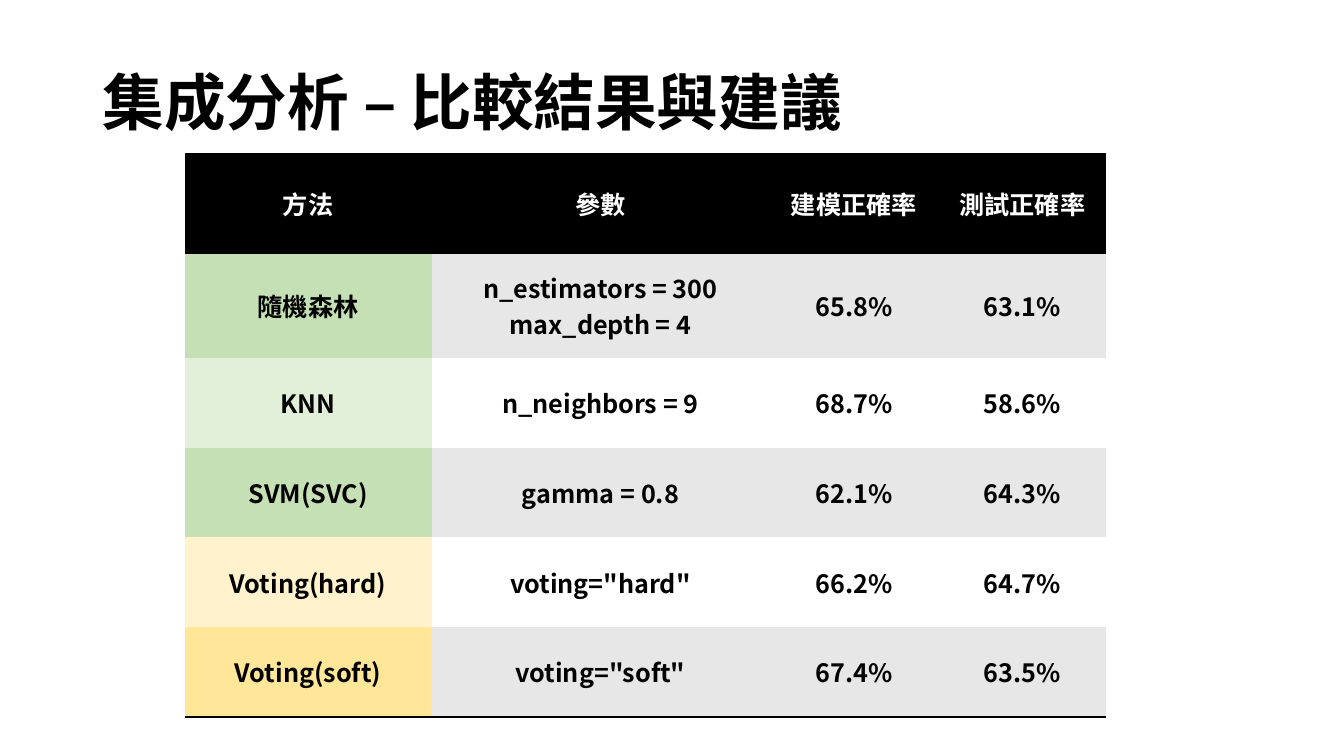
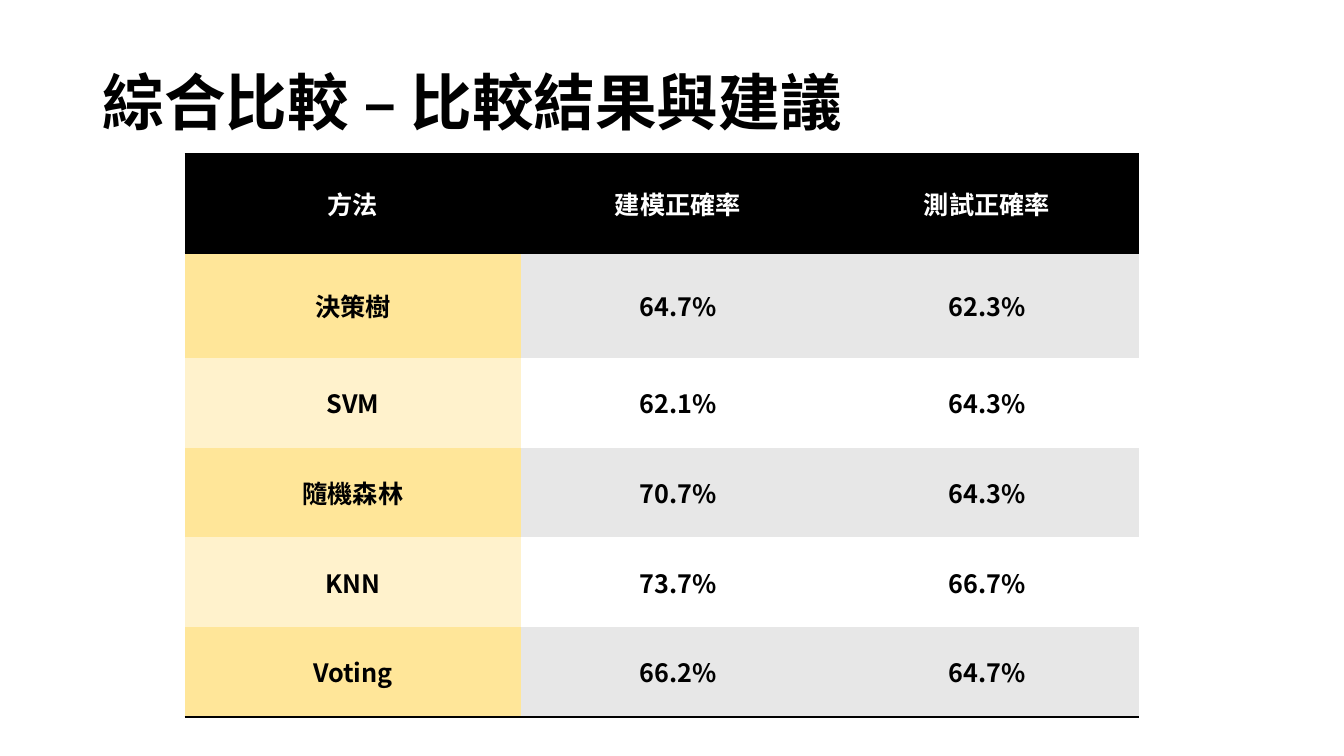
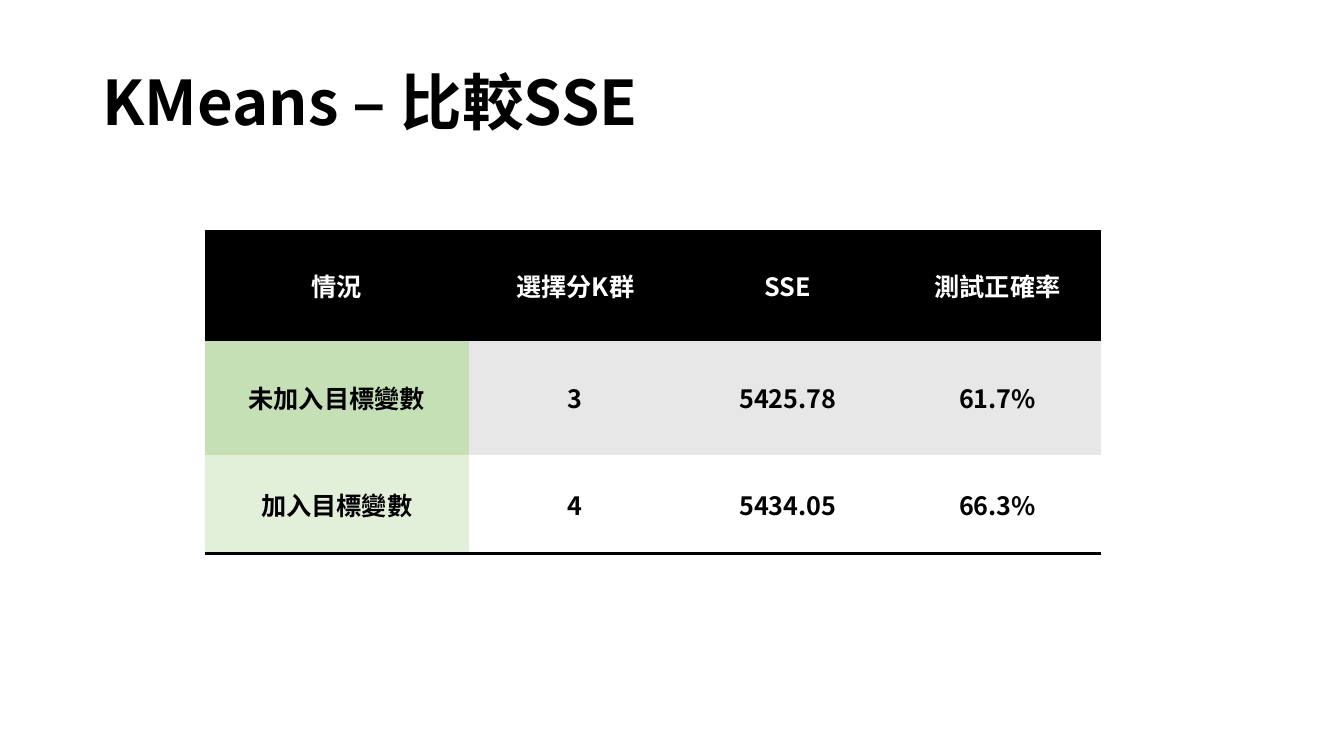
from dataclasses import dataclass

from lxml.etree import SubElement
from pptx import Presentation
from pptx.dml.color import RGBColor
from pptx.enum.text import MSO_ANCHOR, PP_ALIGN
from pptx.oxml import parse_xml
from pptx.oxml.ns import nsdecls, qn
from pptx.slide import Slide
from pptx.table import _Cell as Cell
from pptx.text.text import TextFrame
from pptx.util import Inches, Pt

WIDE, HIGH = Inches(13.33), Inches(7.5)


@dataclass(frozen=True)
class Theme:
    font: str = "Noto Sans CJK TC"
    ink: str = "000000"
    paper: str = "FFFFFF"
    gray: str = "E7E7E7"
    green: tuple[str, str] = ("C5E0B4", "E2F0D9")  # odd rows, even rows
    gold: tuple[str, str] = ("FFE699", "FFF2CC")
    head: int = 44
    body: int = 18
    rule: int = 2


THEME = Theme()
BANDS = (THEME.gray, THEME.paper)

# All lengths are percentages of the slide's width or height
TITLE = (6.9, 8.53, 86.25, 10.8)
HEAD_ROW, TOP_ROW, ROW = 13.07, 13.87, 11.87


@dataclass(frozen=True)
class Page:
    title: str
    left: float
    top: float
    cols: tuple[float, ...]
    rows: tuple[tuple[str, ...], ...]
    tints: tuple[tuple[str, str], ...]  # first-column pair for each body row
    scale: float = 1.0


PAGES = (
    Page(
        "集成分析 – 比較結果與建議", 13.73, 20.4, (18.38, 25.13, 12.6, 12.45),
        (
            ("方法", "參數", "建模正確率", "測試正確率"),
            ("隨機森林", "n_estimators = 300\nmax_depth = 4", "65.8%", "63.1%"),
            ("KNN", "n_neighbors = 9", "68.7%", "58.6%"),
            ("SVM(SVC)", "gamma = 0.8", "62.1%", "64.3%"),
            ("Voting(hard)", 'voting="hard"', "66.2%", "64.7%"),
            ("Voting(soft)", 'voting="soft"', "67.4%", "63.5%"),
        ),
        (THEME.green,) * 3 + (THEME.gold,) * 2,
    ),
    Page(
        "綜合比較 – 比較結果與建議", 13.73, 20.4, (25.05, 23.33, 22.65),
        (
            ("方法", "建模正確率", "測試正確率"),
            ("決策樹", "64.7%", "62.3%"),
            ("SVM", "62.1%", "64.3%"),
            ("隨機森林", "70.7%", "64.3%"),
            ("KNN", "73.7%", "66.7%"),
            ("Voting", "66.2%", "64.7%"),
        ),
        (THEME.gold,) * 5,
    ),
    Page(
        "KMeans – 比較SSE", 15.23, 30.53, (19.65, 15.83, 15.83, 15.38),
        (
            ("情況", "選擇分K群", "SSE", "測試正確率"),
            ("未加入目標變數", "3", "5425.78", "61.7%"),
            ("加入目標變數", "4", "5434.05", "66.3%"),
        ),
        (THEME.green,) * 2,
        scale=1.1,
    ),
)


def across(share: float) -> int:
    return round(WIDE * share / 100)


def down(share: float) -> int:
    return round(HIGH * share / 100)


def style(frame: TextFrame, size: int, color: str, align: PP_ALIGN) -> None:
    for para in frame.paragraphs:
        para.alignment = align
        for run in para.runs:
            font = run.font
            font.name, font.size, font.bold = THEME.font, Pt(size), True
            font.color.rgb = RGBColor.from_string(color)
            # East Asian glyphs take their own typeface entry
            SubElement(run._r.get_or_add_rPr(), qn("a:ea"), typeface=THEME.font)


def edge(cell: Cell, ruled: str) -> None:
    """Rule the named sides (T, B) and clear the others."""
    props = cell._tc.get_or_add_tcPr()
    for spot, side in enumerate("LRTB"):
        if side in ruled:
            paint = f'<a:solidFill><a:srgbClr val="{THEME.ink}"/></a:solidFill>'
        else:
            paint = "<a:noFill/>"
        line = f'<a:ln{side} {nsdecls("a")} w="{Pt(THEME.rule)}">{paint}</a:ln{side}>'
        props.insert(spot, parse_xml(line))


def add_title(slide: Slide, text: str) -> None:
    left, top, width, height = TITLE
    box = slide.shapes.add_textbox(across(left), down(top), across(width), down(height))
    frame = box.text_frame
    frame.word_wrap = True
    frame.vertical_anchor = MSO_ANCHOR.MIDDLE
    frame.text = text
    frame.paragraphs[0].line_spacing = 0.9
    style(frame, THEME.head, THEME.ink, PP_ALIGN.LEFT)


def add_grid(slide: Slide, page: Page) -> None:
    count = len(page.rows)
    highs = [HEAD_ROW, TOP_ROW] + [ROW] * (count - 2)
    highs = [high * page.scale for high in highs]
    table = slide.shapes.add_table(
        count, len(page.cols), across(page.left), down(page.top),
        across(sum(page.cols)), down(sum(highs)),
    ).table
    for col, width in zip(table.columns, page.cols):
        col.width = across(width)
    for row, high in zip(table.rows, highs):
        row.height = down(high)

    for r, words in enumerate(page.rows):
        for c, text in enumerate(words):
            # Header, then bands with a tinted first column
            if r == 0:
                fill, color, ruled = THEME.ink, THEME.paper, "TB"
            else:
                pair = page.tints[r - 1] if c == 0 else BANDS
                fill, color = pair[(r - 1) % 2], THEME.ink
                ruled = "T" if r == 1 else "B" if r == count - 1 else ""
            cell = table.cell(r, c)
            cell.text_frame.text = text
            cell.vertical_anchor = MSO_ANCHOR.MIDDLE
            cell.fill.solid()
            cell.fill.fore_color.rgb = RGBColor.from_string(fill)
            style(cell.text_frame, THEME.body, color, PP_ALIGN.CENTER)
            edge(cell, ruled)


def main() -> None:
    deck = Presentation()
    deck.slide_width, deck.slide_height = WIDE, HIGH
    blank = deck.slide_layouts[6]
    for page in PAGES:
        slide = deck.slides.add_slide(blank)
        add_title(slide, page.title)
        add_grid(slide, page)
    deck.save("out.pptx")


if __name__ == "__main__":
    main()
